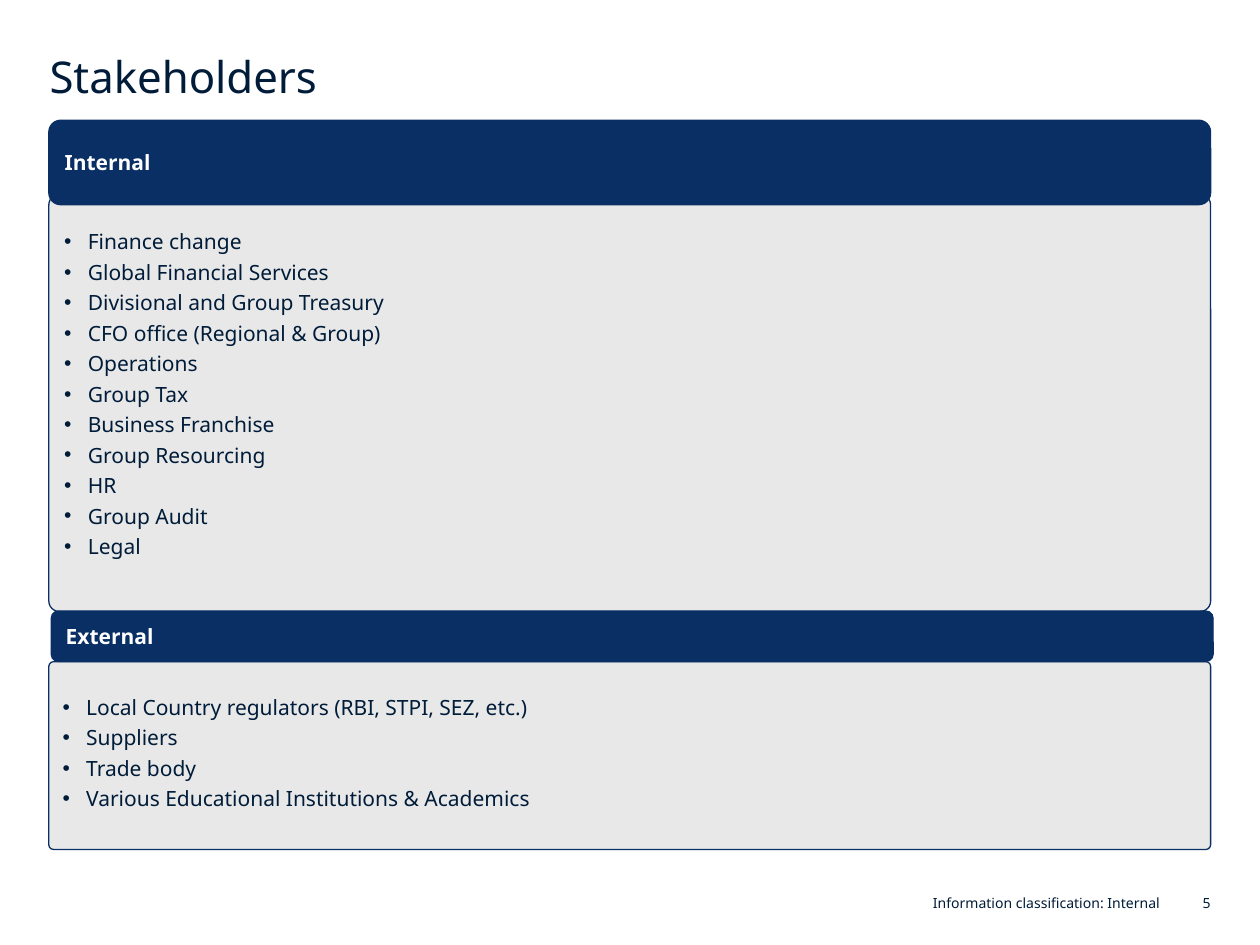
"""Build the Stakeholders slide with internal and external groups."""
from lxml.etree import SubElement
from pptx import Presentation
from pptx.dml.color import RGBColor
from pptx.enum.shapes import MSO_SHAPE as Shape
from pptx.enum.text import MSO_ANCHOR as Anchor, PP_ALIGN as Align
from pptx.oxml.ns import qn
from pptx.util import Pt

COLORS = {"ink": "001C39", "navy": "0A2F64", "panel": "E8E8E8", "white": "FFFFFF"}
FONT = "Noto Sans"
LEFT, WIDTH = 27.9, 663.9

presentation = Presentation()
presentation.slide_width, presentation.slide_height = Pt(720), Pt(540)
slide = presentation.slides.add_slide(presentation.slide_layouts[6])


def set_frame(shape, anchor, margins):
    frame = shape.text_frame
    frame.word_wrap = True
    frame.vertical_anchor = anchor
    frame.margin_left, frame.margin_top, frame.margin_right, frame.margin_bottom = map(Pt, margins)
    return frame


def add_run(paragraph, text, size, color="ink", bold=False, align=Align.LEFT):
    paragraph.alignment = align
    run = paragraph.add_run()
    run.text = text
    run.font.name = FONT
    run.font.size = Pt(size)
    run.font.bold = bold
    run.font.color.rgb = RGBColor.from_string(COLORS[color])


labels = [
    ("Stakeholders", 28.3, 28.4, 599, 62.6, 25, Align.LEFT, Anchor.TOP),
    ("Information classification: Internal", 419.8, 509, 243.3, 11.5, 8, Align.RIGHT, Anchor.BOTTOM),
    ("5", 674.5, 509, 17.3, 11.5, 8, Align.RIGHT, Anchor.BOTTOM),
]
for text, left, top, width, height, size, align, anchor in labels:
    box = slide.shapes.add_textbox(Pt(left), Pt(top), Pt(width), Pt(height))
    paragraph = set_frame(box, anchor, (0, 0, 0, 0)).paragraphs[0]
    add_run(paragraph, text, size, align=align)
    if size == 25:
        paragraph.line_spacing = Pt(30)

internal = [
    "Finance change", "Global Financial Services", "Divisional and Group Treasury",
    "CFO office (Regional & Group)", "Operations", "Group Tax", "Business Franchise",
    "Group Resourcing", "HR", "Group Audit", "Legal",
]
external = [
    "Local Country regulators (RBI, STPI, SEZ, etc.)", "Suppliers", "Trade body",
    "Various Educational Institutions & Academics",
]
groups = [
    ("Internal", internal, (LEFT, 68.7, 48.3), (111.1, 238.3)),
    ("External", external, (29.3, 349.2, 28.8), (378.1, 107.3)),
]
for heading, items, (header_left, header_top, header_height), (panel_top, panel_height) in groups:
    blocks = [
        (LEFT, panel_top, panel_height, "panel", 0.025),
        (header_left, header_top, header_height, "navy", 0.141),
    ]
    for left, top, height, fill, rounding in blocks:
        shape = slide.shapes.add_shape(
            Shape.ROUNDED_RECTANGLE, Pt(left), Pt(top), Pt(WIDTH), Pt(height))
        shape.adjustments[0] = rounding
        shape.shadow.inherit = False
        shape.fill.solid()
        shape.fill.fore_color.rgb = RGBColor.from_string(COLORS[fill])
        shape.line.color.rgb = RGBColor.from_string(COLORS["navy"])
        shape.line.width = Pt(0.75)
        if fill == "navy":
            frame = set_frame(shape, Anchor.MIDDLE, (7.2, 3.6, 7.2, 3.6))
            add_run(frame.paragraphs[0], heading, 12, "white", True)
            continue
        frame = set_frame(shape, Anchor.TOP, (7.2, 18, 7.2, 3.6))
        for index, item in enumerate(items):
            paragraph = frame.add_paragraph() if index else frame.paragraphs[0]
            paragraph.space_before = Pt(3)
            add_run(paragraph, item, 12)
            properties = paragraph._p.get_or_add_pPr()
            properties.set("marL", str(Pt(13.5)))
            properties.set("indent", str(-Pt(13.5)))
            bullet_color = SubElement(properties, qn("a:buClr"))
            SubElement(bullet_color, qn("a:srgbClr"), val=COLORS["ink"])
            SubElement(properties, qn("a:buFont"), typeface="Arial")
            SubElement(properties, qn("a:buChar"), char="•")

presentation.save("out.pptx")
